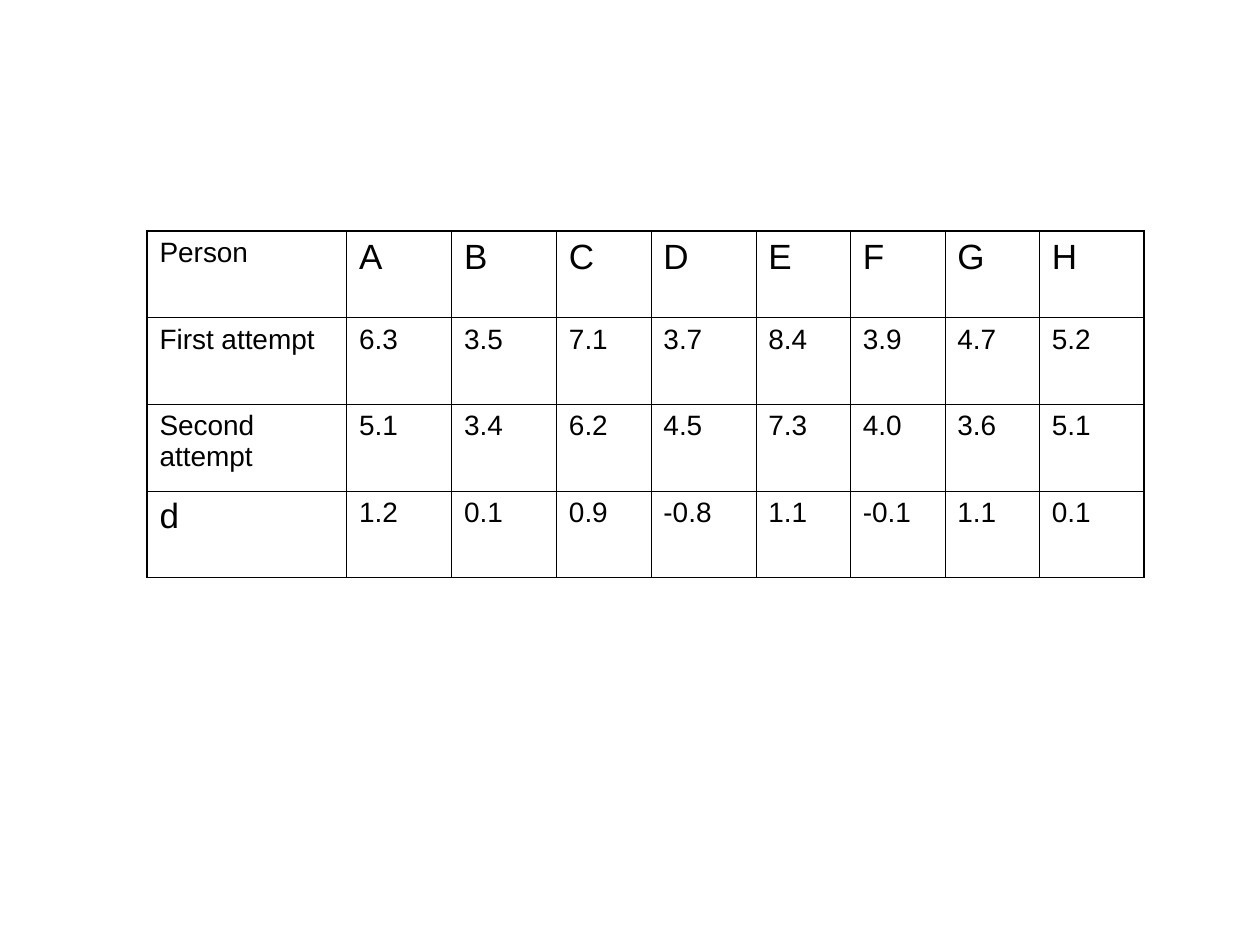
from lxml import etree
from pptx import Presentation
from pptx.dml.color import RGBColor
from pptx.oxml.ns import qn
from pptx.util import Inches, Pt

BLACK = RGBColor(0, 0, 0)
BLANK_LAYOUT = 6
UNIT = Inches(1) / 12  # grid step
LEFT, TOP = 14, 22
COLUMNS = [19, 10, 10, 9, 10, 9, 9, 9, 10]
ROW_HEIGHT = 8.25
THIN, THICK = Pt(0.45), Pt(1.08)
LABEL_SIZE, LETTER_SIZE = Pt(16), Pt(20)

ROWS = [
    ["Person", *"ABCDEFGH"],
    ["First attempt", "6.3", "3.5", "7.1", "3.7", "8.4", "3.9", "4.7", "5.2"],
    ["Second attempt", "5.1", "3.4", "6.2", "4.5", "7.3", "4.0", "3.6", "5.1"],
    ["d", "1.2", "0.1", "0.9", "-0.8", "1.1", "-0.1", "1.1", "0.1"],
]


def grid(steps):
    return round(steps * UNIT)


def set_borders(cell, outer_sides):
    """Draw all four borders, thicker on the table's outer sides."""
    tc_pr = cell._tc.get_or_add_tcPr()
    for side, outer in outer_sides.items():
        width = THICK if outer else THIN
        ln = etree.SubElement(tc_pr, qn(f"a:ln{side}"), w=str(width))
        fill = etree.SubElement(ln, qn("a:solidFill"))
        etree.SubElement(fill, qn("a:srgbClr"), val=str(BLACK))


def write_cell(cell, text):
    p = cell.text_frame.paragraphs[0]
    r = p.add_run()
    r.text = text
    size = LETTER_SIZE if len(text) == 1 else LABEL_SIZE
    for name, value in {"name": "Arial", "size": size, "bold": False}.items():
        setattr(r.font, name, value)
    r.font.color.rgb = BLACK


def add_attempts_table(s):
    n_rows, n_cols = len(ROWS), len(COLUMNS)
    table = s.shapes.add_table(
        n_rows, n_cols, grid(LEFT), grid(TOP),
        grid(sum(COLUMNS)), grid(ROW_HEIGHT * n_rows)).table
    table.first_row = table.horz_banding = False
    for column, steps in zip(table.columns, COLUMNS):
        column.width = grid(steps)
    for i, values in enumerate(ROWS):
        table.rows[i].height = grid(ROW_HEIGHT)
        for j, text in enumerate(values):
            cell = table.cell(i, j)
            write_cell(cell, text)
            set_borders(cell, {"L": j == 0, "R": j == n_cols - 1,
                               "T": i == 0, "B": i == n_rows - 1})
            cell.fill.background()


def main():
    prs = Presentation()
    prs.slide_width, prs.slide_height = Inches(10), Inches(7.5)
    s = prs.slides.add_slide(prs.slide_layouts[BLANK_LAYOUT])
    add_attempts_table(s)
    prs.save("out.pptx")


if __name__ == "__main__":
    main()
